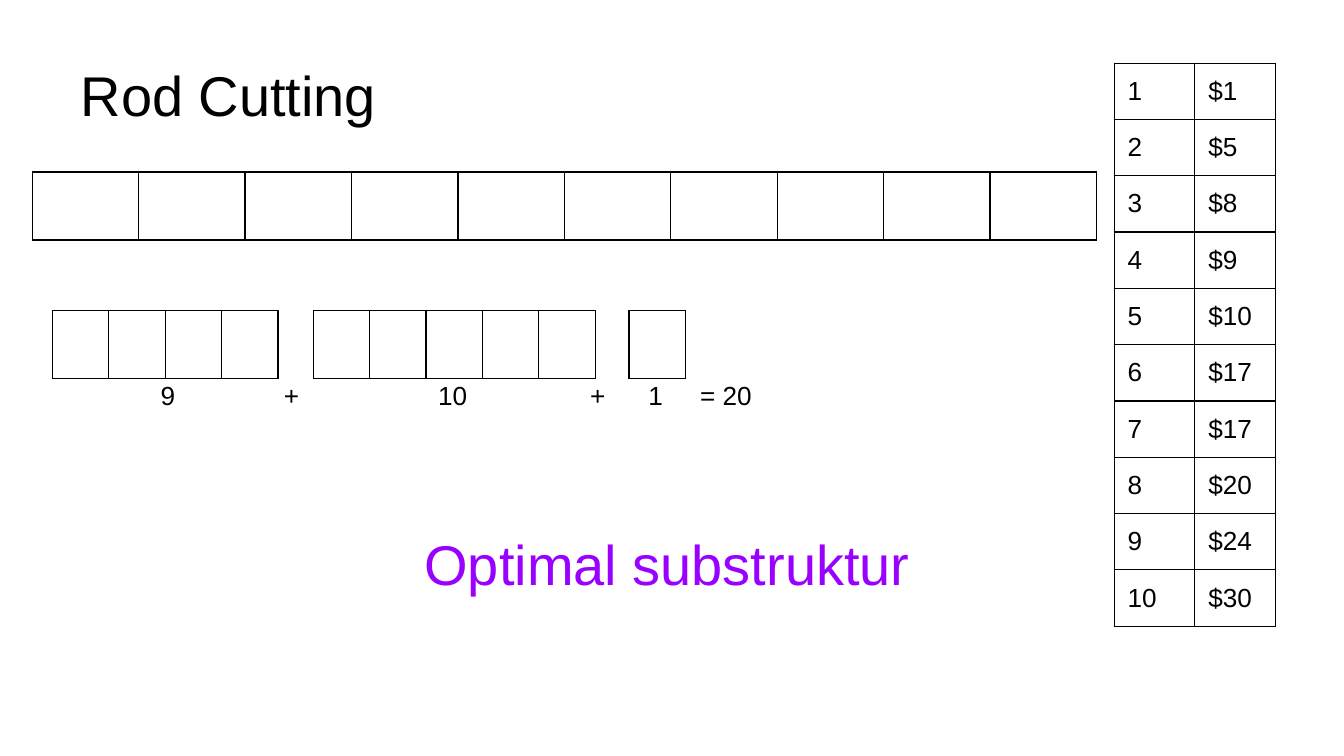
import pptx
import pptx.dml.color
import pptx.enum.text
import pptx.oxml
import pptx.oxml.ns
import pptx.util
from pptx.util import Inches

COLORS = {"text": "000000", "accent": "9900FF", "border": "000000"}


class SlideBuilder:
    font = "Arial"
    margin = Inches(0.1)
    border = pptx.util.Pt(0.75)

    def __init__(self, prs):
        self.s = prs.slides.add_slide(prs.slide_layouts[5])

    def style(self, p, size, color="text"):
        p.font.name = self.font
        p.font.size = pptx.util.Pt(size)
        p.font.color.rgb = pptx.dml.color.RGBColor.from_string(COLORS[color])

    def fill_text(self, sp, text, size, color="text", tabs=()):
        tf = sp.text_frame
        tf.word_wrap = True
        tf.auto_size = pptx.enum.text.MSO_AUTO_SIZE.NONE
        tf.margin_left = tf.margin_right = self.margin
        tf.margin_top = tf.margin_bottom = self.margin
        p = tf.paragraphs[0]
        p.text = text
        p.alignment = pptx.enum.text.PP_ALIGN.LEFT
        if tabs:
            stops = "".join(f'<a:tab pos="{Inches(x)}" algn="{align}"/>' for x, align in tabs)
            p._p.get_or_add_pPr().append(pptx.oxml.parse_xml(
                f'<a:tabLst {pptx.oxml.ns.nsdecls("a")}>{stops}</a:tabLst>'))
        self.style(p, size, color)
        return tf

    def title(self, text, x, y, w, h):
        sp = self.s.shapes.title
        sp.left, sp.top, sp.width, sp.height = map(Inches, (x, y, w, h))
        tf = self.fill_text(sp, text, 30)
        tf.vertical_anchor = pptx.enum.text.MSO_ANCHOR.MIDDLE

    def text(self, text, x, y, w, h, size, color="text", tabs=()):
        sp = self.s.shapes.add_textbox(*map(Inches, (x, y, w, h)))
        self.fill_text(sp, text, size, color, tabs)

    def outline(self, cell):
        tcPr = cell._tc.get_or_add_tcPr()
        for i, side in enumerate("LRTB"):
            tcPr.insert(i, pptx.oxml.parse_xml(
                f'<a:ln{side} {pptx.oxml.ns.nsdecls("a")} w="{self.border}"><a:solidFill>'
                f'<a:srgbClr val="{COLORS["border"]}"/></a:solidFill></a:ln{side}>'))

    def table(self, rows, x, y, w, h):
        shape = self.s.shapes.add_table(len(rows), len(rows[0]), *map(Inches, (x, y, w, h)))
        table = shape.table
        table.first_row = table.horz_banding = False
        for r, row in enumerate(rows):
            for c, value in enumerate(row):
                cell = table.cell(r, c)
                cell.fill.background()
                self.outline(cell)
                cell.margin_left = cell.margin_right = self.margin
                cell.margin_top = cell.margin_bottom = self.margin
                if value:
                    p = cell.text_frame.paragraphs[0]
                    p.text = value
                    self.style(p, 14)

    def rod(self, length, x, y, width):
        self.table([[""] * length], x, y, width, 0.48)


def main():
    prs = pptx.Presentation()
    prs.slide_width = Inches(10)
    prs.slide_height = prs.slide_width * 9 // 16
    slide = SlideBuilder(prs)
    slide.title("Rod Cutting", 0.5, 0.23, 9, 0.94)

    # Whole rod
    slide.rod(10, 0.24, 1.28, 7.92)

    # Price for each length
    prices = [1, 5, 8, 9, 10, 17, 17, 20, 24, 30]
    rows = [(str(n), f"${price}") for n, price in enumerate(prices, 1)]
    slide.table(rows, 8.29, 0.47, 1.2, 4.18)

    # Cut pieces and the sum of their prices
    for length, x in ((4, 0.39), (5, 2.33), (1, 4.68)):
        slide.rod(length, x, 2.31, length * 0.42)
    tabs = [(x, "ctr") for x in (0.53, 1.45, 2.65, 3.73, 4.16)] + [(4.49, "l")]
    slide.text("\t9\t+\t10\t+\t1\t= 20", 0.62, 2.72, 5.91, 0.48, 14, tabs=tabs)

    # Key idea
    slide.text("Optimal substruktur", 3.06, 3.84, 3.89, 0.67, 30, "accent")

    prs.save("out.pptx")


if __name__ == "__main__":
    main()
